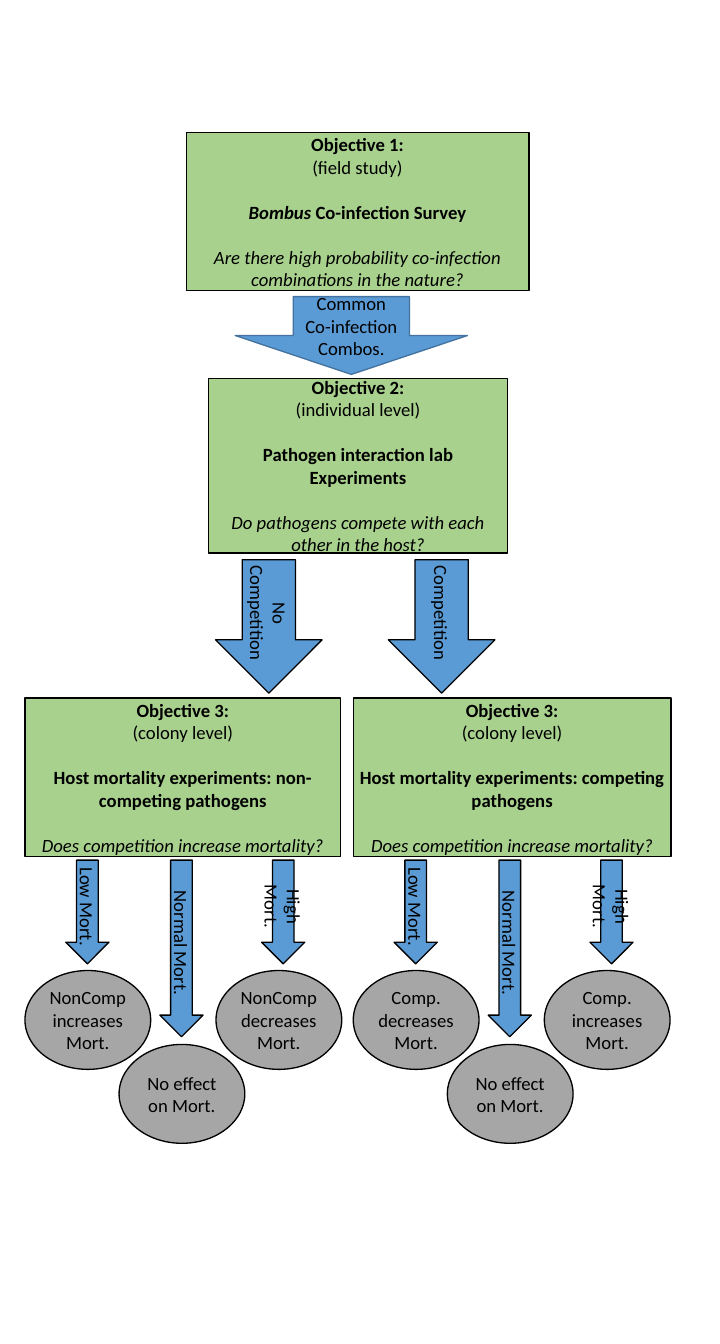
"""Build a flow chart of three co-infection research objectives."""
from dataclasses import dataclass

from pptx import Presentation
from pptx.dml.color import RGBColor
from pptx.enum.shapes import MSO_SHAPE
from pptx.enum.text import MSO_ANCHOR, PP_ALIGN
from pptx.util import Inches, Pt

RECT, OVAL = MSO_SHAPE.RECTANGLE, MSO_SHAPE.OVAL
DOWN, RIGHT = MSO_SHAPE.DOWN_ARROW, MSO_SHAPE.RIGHT_ARROW
MIDDLE, CENTER = MSO_ANCHOR.MIDDLE, PP_ALIGN.CENTER


@dataclass(frozen=True)
class Theme:
    font: str = "Calibri"
    size: int = 14
    gap: int = 17
    line_width: int = 1
    ink: str = "000000"
    objective: str = "A9D18E"
    arrow: str = "5B9BD5"
    arrow_edge: str = "43739E"
    outcome: str = "A6A6A6"


THEME = Theme()
BOX_INSETS = (0.06, 0.03)
ARROW_INSETS = (0.1, 0.05)

SURVEY = ("Objective 1:", "(field study)",
          [("Bombus ", True), ("Co-infection Survey", False)],
          "Are there high probability co-infection combinations in the nature?")
LAB = ("Objective 2:", "(individual level)",
       [("Pathogen interaction lab Experiments", False)],
       "Do pathogens compete with each other in the host?")
BRANCHES = [
    {"left": 0.26, "width": 3.29, "arrow_center": 2.8, "finding": "No Competition",
     "topic": "Host mortality experiments: non-competing pathogens",
     "outcomes": ("NonComp increases Mort.", "No effect on Mort.",
                  "NonComp decreases Mort.")},
    {"left": 3.68, "width": 3.31, "arrow_center": 4.6, "finding": "Competition",
     "topic": "Host mortality experiments: competing pathogens",
     "outcomes": ("Comp. decreases Mort.", "No effect on Mort.",
                  "Comp. increases Mort.")},
]
MORTALITY = [("Low Mort.", 0.65, 1.08), ("Normal Mort.", 1.63, 1.84),
             ("High Mort.", 2.69, 1.08)]
OUTCOME_PLACES = [(0, 10.11), (0.98, 10.88), (1.99, 10.11)]
OUTCOME_SIZE = (1.31, 1.03)
FINDING_SIZE = (1.39, 1.11)
FINDING_TOP, BRANCH_TOP, MORTALITY_TOP = 5.83, 7.27, 8.96
BRANCH_HEIGHT, MORTALITY_WIDTH = 1.65, 0.45


def add_box(page, kind, place, fill, edge=THEME.ink, insets=BOX_INSETS):
    box = page.shapes.add_shape(kind, *map(Inches, place))
    box.shadow.inherit = False
    box.fill.solid()
    box.fill.fore_color.rgb = RGBColor.from_string(fill)
    box.line.color.rgb = RGBColor.from_string(edge)
    box.line.width = Pt(THEME.line_width)
    frame = box.text_frame
    frame.word_wrap = True
    frame.vertical_anchor = MIDDLE
    frame.margin_left = frame.margin_right = Inches(insets[0])
    frame.margin_top = frame.margin_bottom = Inches(insets[1])
    return box


def style(para, bold=False, italic=None, gap=0):
    para.alignment = CENTER
    para.space_before = Pt(gap)
    font = para.font
    font.name, font.size = THEME.font, Pt(THEME.size)
    font.bold, font.italic = bold, italic
    font.color.rgb = RGBColor.from_string(THEME.ink)


def add_label(box, text):
    para = box.text_frame.paragraphs[0]
    para.text = text
    style(para)


def add_objective(page, place, content):
    title, level, topic, question = content
    frame = add_box(page, RECT, place, THEME.objective).text_frame
    lines = [([(title, False)], True, 0), ([(level, False)], False, 0),
             (topic, True, THEME.gap), ([(question, True)], False, THEME.gap)]
    for index, (spans, bold, gap) in enumerate(lines):
        para = frame.add_paragraph() if index else frame.paragraphs[0]
        slants = {italic for _, italic in spans}
        style(para, bold, slants.pop() if len(slants) == 1 else None, gap)
        for text, italic in spans:
            span = para.add_run()
            span.text = text
            if len(spans) > 1:
                span.font.italic = italic


def add_turned_arrow(page, center, top, length, width, text):
    place = (center - length / 2, top + (length - width) / 2, length, width)
    arrow = add_box(page, RIGHT, place, THEME.arrow)
    arrow.rotation = 90
    add_label(arrow, text)


def add_branch(page, branch):
    left = branch["left"]
    add_turned_arrow(page, branch["arrow_center"], FINDING_TOP, *FINDING_SIZE,
                     branch["finding"])
    add_objective(page, (left, BRANCH_TOP, branch["width"], BRANCH_HEIGHT),
                  ("Objective 3:", "(colony level)", [(branch["topic"], False)],
                   "Does competition increase mortality?"))
    for (offset, top), text in zip(OUTCOME_PLACES, branch["outcomes"]):
        add_label(add_box(page, OVAL, (left + offset, top, *OUTCOME_SIZE),
                          THEME.outcome), text)
    for text, offset, length in MORTALITY:
        add_turned_arrow(page, left + offset, MORTALITY_TOP, length,
                         MORTALITY_WIDTH, text)


deck = Presentation()
deck.slide_width, deck.slide_height = Inches(7.5), Inches(14)
page = deck.slides.add_slide(deck.slide_layouts[6])

add_objective(page, (1.94, 1.38, 3.57, 1.65), SURVEY)
add_label(add_box(page, DOWN, (2.45, 3.09, 2.42, 0.81), THEME.arrow,
                  THEME.arrow_edge, ARROW_INSETS), "Common Co-infection Combos.")
add_objective(page, (2.17, 3.94, 3.12, 1.82), LAB)
for branch in BRANCHES:
    add_branch(page, branch)

deck.save("out.pptx")
